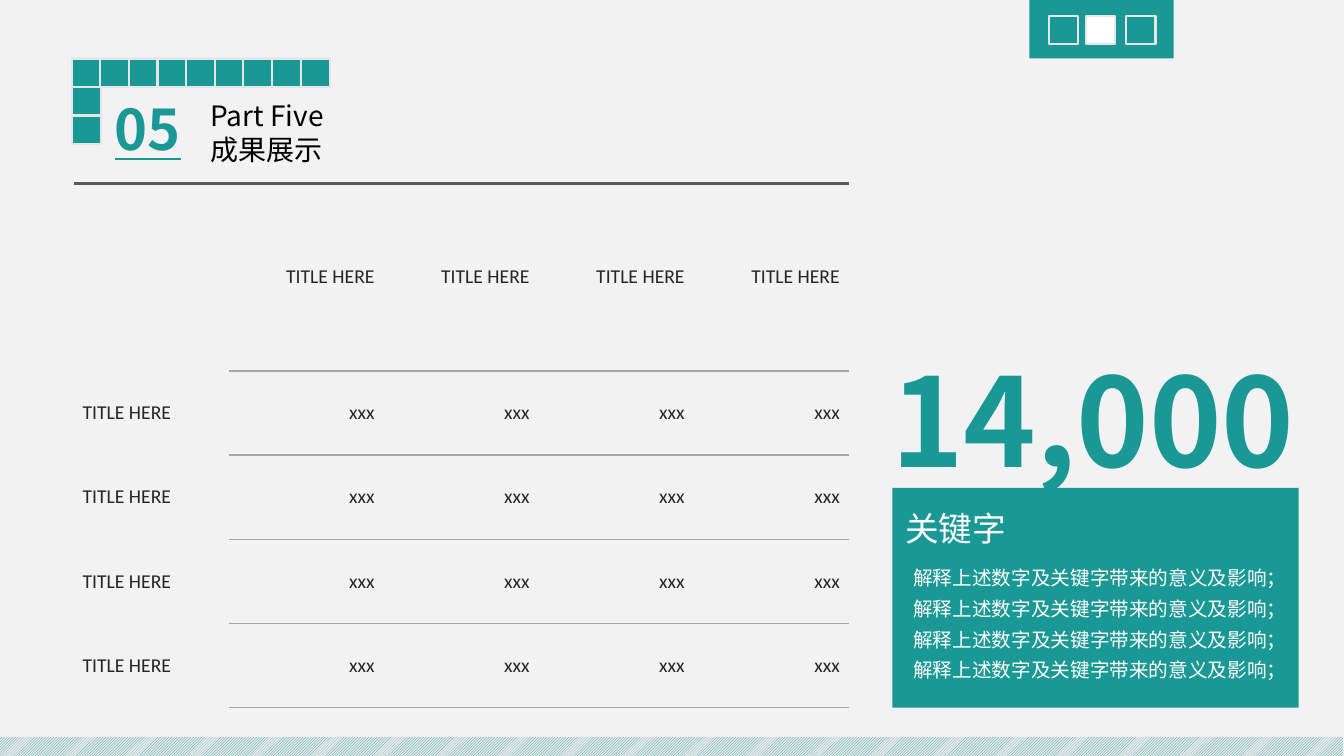
"""Build the results slide with a data table and a key figure."""
from lxml.etree import SubElement
from pptx import Presentation
from pptx.dml.color import RGBColor
from pptx.enum.dml import MSO_PATTERN
from pptx.enum.shapes import MSO_SHAPE
from pptx.enum.text import MSO_ANCHOR, MSO_AUTO_SIZE, PP_ALIGN
from pptx.oxml import parse_xml
from pptx.oxml.ns import nsdecls, qn
from pptx.util import Inches, Pt

COLORS = {
    "background": "F2F2F2",
    "teal": "1A9895",
    "white": "FFFFFF",
    "outline": "E7E6E6",
    "pattern": "E9E9E9",
    "heading_rule": "595959",
    "row_rule": "A6A6A6",
    "table_text": "262626",
    "black": "000000",
}
FONT = "Noto Sans CJK SC"
TABLE_FONT = "Calibri"
NO_STYLE = "{2D5ABB26-0587-4C30-8999-92F81FD0307C}"

EXPLANATION = "解释上述数字及关键字带来的意义及影响；"
HEADER = [""] + ["TITLE HERE"] * 4
ROWS = [HEADER] + [["TITLE HERE"] + ["xxx"] * 4] * 4
TABLE_BOX = (0.73, 1.82, 7.69, 5.2)
HEADER_HEIGHT = 1.86

TILE_SIZE = (0.29, 0.28)
TILE_LEFT, TILE_TOP, TILE_STEP = 0.71, 0.58, 0.284
TILES_ACROSS, TILES_DOWN = 9, 3
MARKERS = [(10.4, "teal"), (10.77, "white"), (11.17, "teal")]
MARKER_TOP = 0.16

TEXTS = [
    dict(box=(8.88, 4.99, 1.24, 0.5), lines=["关键字"], size=24, color="white", wrap=False),
    dict(box=(8.96, 5.5, 4.05, 1.33), lines=[EXPLANATION * 2, EXPLANATION, EXPLANATION],
         size=14, color="white", spacing=1.3),
    dict(box=(8.74, 3.37, 4.98, 1.58), lines=["14,000"], size=88, color="teal", bold=True),
    dict(box=(1.04, 0.89, 0.95, 0.77), lines=["05"], size=40, color="teal", bold=True,
         underline=True),
    dict(box=(1.99, 0.93, 2.4, 0.77), lines=["Part Five", "成果展示"], size=20, color="black"),
]


def rgb(name):
    return RGBColor.from_string(COLORS[name])


def inches(box):
    return [Inches(value) for value in box]


def add_block(slide, box, color, outline=None):
    shape = slide.shapes.add_shape(MSO_SHAPE.RECTANGLE, *inches(box))
    shape.shadow.inherit = False
    shape.fill.solid()
    shape.fill.fore_color.rgb = rgb(color)
    if outline:
        shape.line.color.rgb = rgb(outline)
        shape.line.width = Pt(1.5)
    else:
        shape.line.fill.background()
    return shape


def set_font(font, name, size, color, bold=None, underline=None):
    font.size = Pt(size)
    font.bold = bold
    font.underline = underline
    font.color.rgb = rgb(color)
    font.name = name


def add_text(slide, box, lines, size, color, bold=None, underline=None, spacing=None, wrap=True):
    frame = slide.shapes.add_textbox(*inches(box)).text_frame
    frame.word_wrap = wrap
    frame.auto_size = MSO_AUTO_SIZE.SHAPE_TO_FIT_TEXT
    frame.text = "\n".join(lines)
    for paragraph in frame.paragraphs:
        if spacing:
            paragraph.line_spacing = spacing
        set_font(paragraph.font, FONT, size, color, bold, underline)
        defaults = paragraph._p.pPr.find(qn("a:defRPr"))
        SubElement(defaults, qn("a:ea"), typeface=FONT)


def add_border(cell, side, color, width):
    border = parse_xml(
        f'<a:{side} {nsdecls("a")} w="{Pt(width)}"><a:solidFill>'
        f'<a:srgbClr val="{COLORS[color]}"/></a:solidFill></a:{side}>')
    cell._tc.get_or_add_tcPr().insert(0, border)


def fill_cell(cell, text, row, column):
    cell.fill.background()
    cell.vertical_anchor = MSO_ANCHOR.MIDDLE
    cell.margin_left = cell.margin_right = Inches(0.09)
    cell.text = text
    paragraph = cell.text_frame.paragraphs[0]
    paragraph.alignment = PP_ALIGN.RIGHT if column else PP_ALIGN.LEFT
    set_font(paragraph.font, TABLE_FONT, 14, "table_text")
    if column:
        add_border(cell, "lnB", "row_rule", 1)
    if row == 0:
        add_border(cell, "lnT", "heading_rule", 2.25)


def add_results_table(slide):
    frame = slide.shapes.add_table(len(ROWS), len(HEADER), *inches(TABLE_BOX))
    table = frame.table
    table.first_row = table.horz_banding = False
    table._tbl.tblPr.find(qn("a:tableStyleId")).text = NO_STYLE
    body_height = (TABLE_BOX[3] - HEADER_HEIGHT) / (len(ROWS) - 1)
    for column in table.columns:
        column.width = Inches(TABLE_BOX[2] / len(HEADER))
    for row, texts in enumerate(ROWS):
        table.rows[row].height = Inches(body_height if row else HEADER_HEIGHT)
        for column, text in enumerate(texts):
            fill_cell(table.cell(row, column), text, row, column)


def main():
    presentation = Presentation()
    presentation.slide_width, presentation.slide_height = Inches(13.33), Inches(7.5)
    slide = presentation.slides.add_slide(presentation.slide_layouts[6])
    slide.background.fill.solid()
    slide.background.fill.fore_color.rgb = rgb("background")

    tiles = [(column, 0) for column in range(TILES_ACROSS)]
    tiles += [(0, row) for row in range(1, TILES_DOWN)]
    for column, row in tiles:
        left, top = TILE_LEFT + column * TILE_STEP, TILE_TOP + row * TILE_STEP
        add_block(slide, (left, top, *TILE_SIZE), "teal", "outline")

    strip = add_block(slide, (-0.03, 7.31, 13.35, 0.22), "teal")
    strip.fill.patterned()
    strip.fill.pattern = MSO_PATTERN.LIGHT_UPWARD_DIAGONAL
    strip.fill.fore_color.rgb = rgb("teal")
    strip.fill.back_color.rgb = rgb("pattern")

    add_block(slide, (10.21, 0, 1.43, 0.58), "teal")
    add_results_table(slide)
    add_block(slide, (8.85, 4.84, 4.03, 2.18), "teal")
    for left, color in MARKERS:
        add_block(slide, (left, MARKER_TOP, *TILE_SIZE), color, "outline")
    for text in TEXTS:
        add_text(slide, **text)
    presentation.save("out.pptx")


if __name__ == "__main__":
    main()
